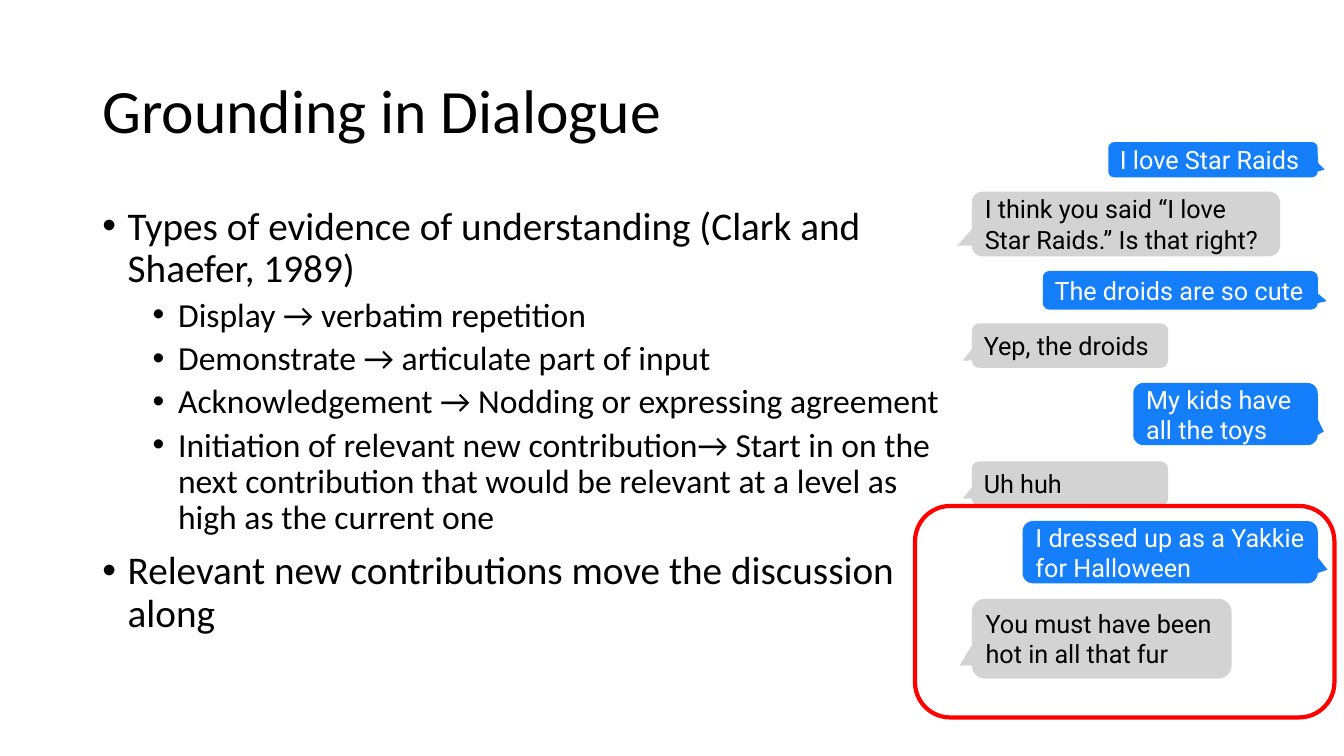
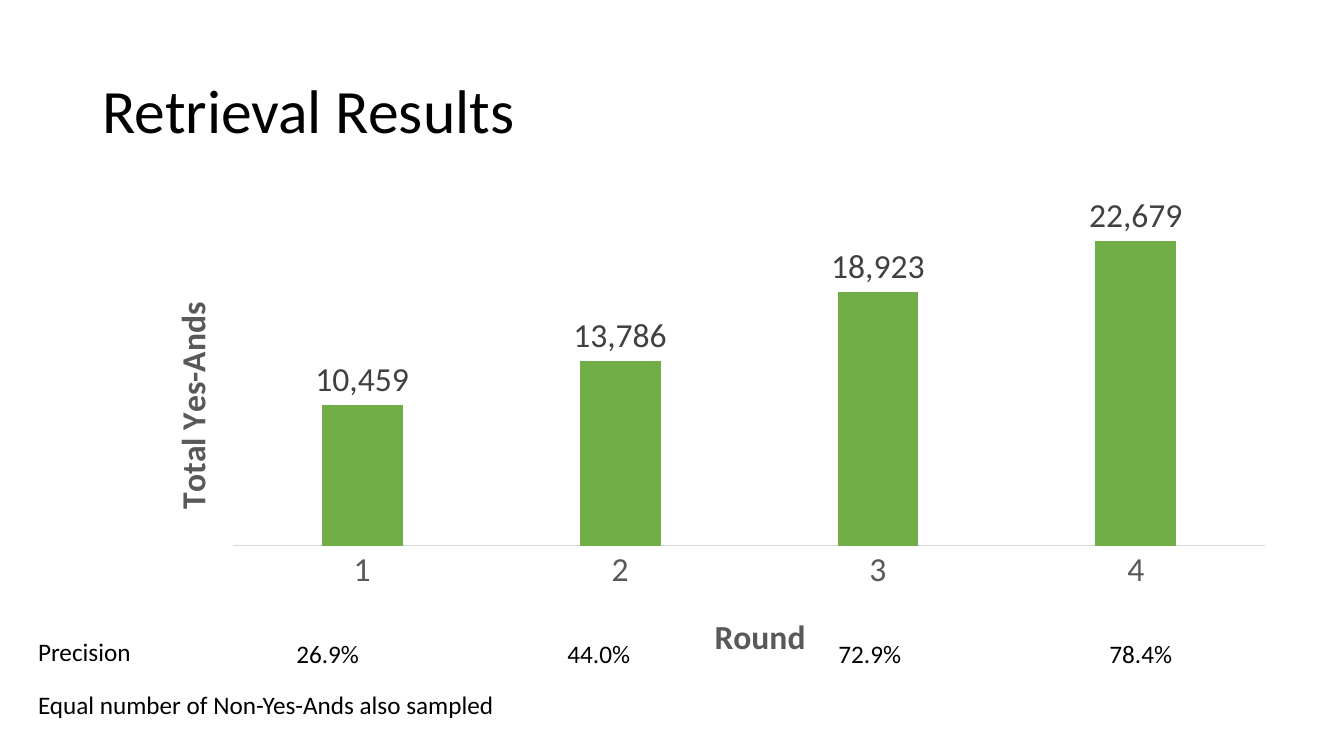
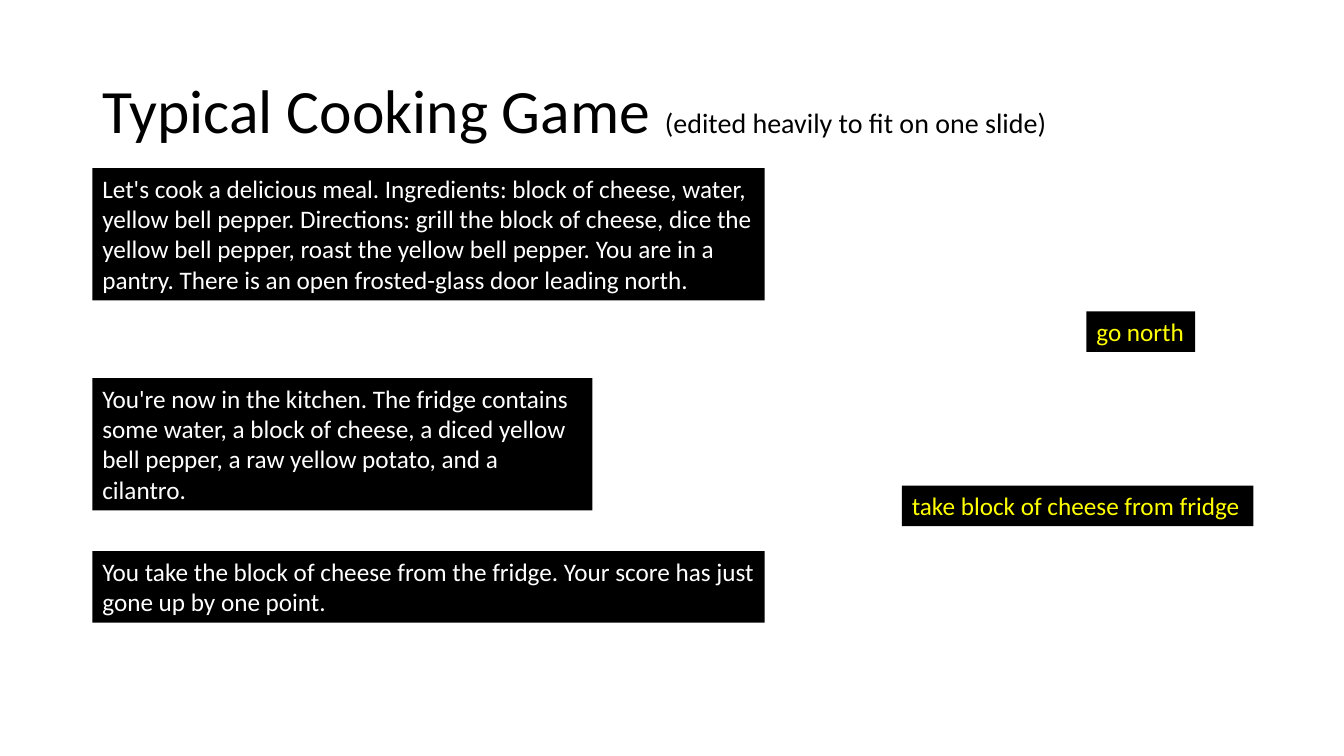
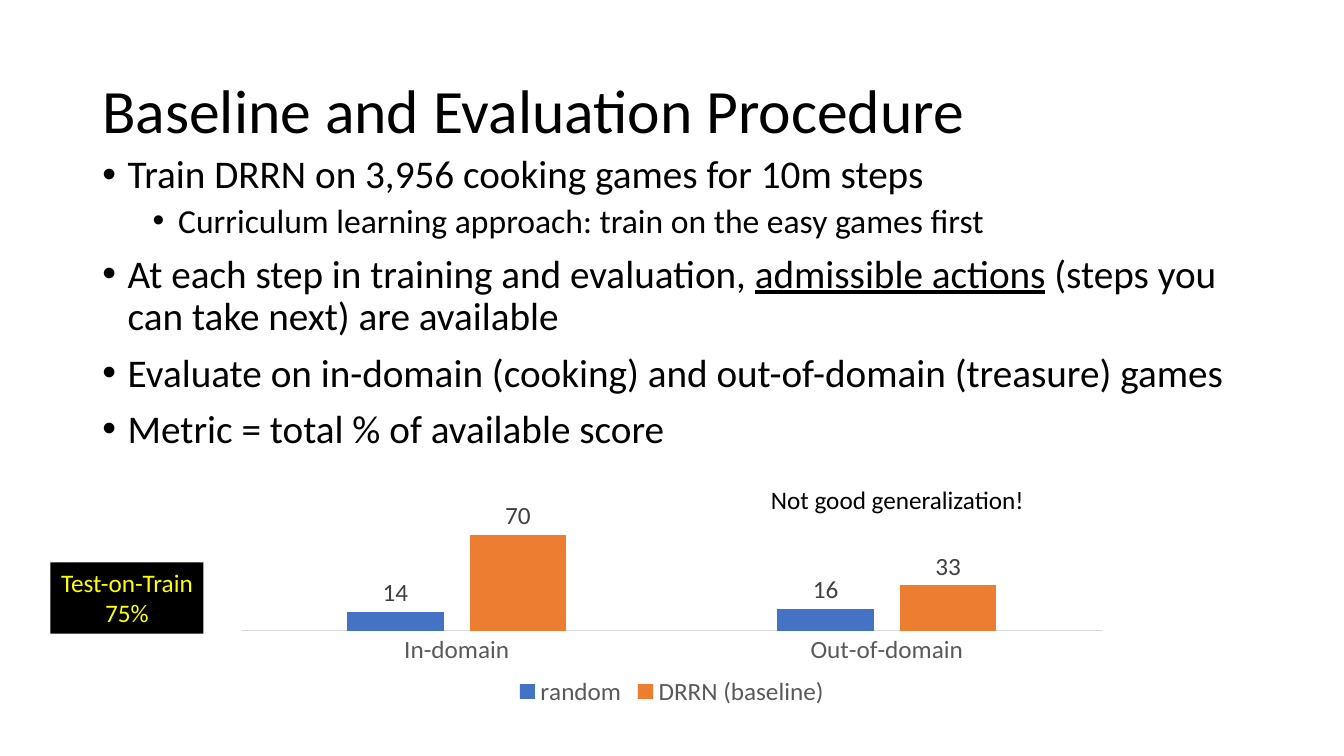
from lxml.etree import SubElement
from pptx import Presentation
from pptx.chart.data import CategoryChartData as Data
from pptx.dml.color import RGBColor as RGB
from pptx.enum.chart import XL_CHART_TYPE as Kind
from pptx.enum.chart import XL_LABEL_POSITION as Spot
from pptx.enum.chart import XL_LEGEND_POSITION as Side
from pptx.enum.chart import XL_TICK_MARK as Tick
from pptx.enum.shapes import MSO_SHAPE as Form
from pptx.enum.text import MSO_ANCHOR as Anchor
from pptx.enum.text import PP_ALIGN as Align
from pptx.oxml.ns import qn
from pptx.util import Cm, Pt

COLORS = {
    "black": "000000", "white": "FFFFFF", "yellow": "FFFF00", "red": "FF0000",
    "sent": "147EFB", "reply": "D3D3D3", "axis": "D9D9D9", "grey": "595959",
    "dark": "404040", "green": "70AD47", "blue": "4472C4", "orange": "ED7D31",
}
LEFT, WIDE = 2.33, 29.21
TAIL_RIGHT, TAIL_LEFT = (0.533, 0.282), (-0.547, 0.338)


def rgb(name):
    return RGB.from_string(COLORS[name])


def style(font, size, color="black", face="Calibri"):
    font.size, font.name = Pt(size), face
    font.color.rgb = rgb(color)


def put(frame, lines, size=18, color="black", face="Calibri", align=None):
    """Write plain lines into a text frame, one paragraph each."""
    for i, line in enumerate(lines):
        para = frame.add_paragraph() if i else frame.paragraphs[0]
        para.alignment = align or Align.LEFT
        para.add_run().text = line
        style(para.font, size, color, face)


def text(slide, box, lines, wrap=False, **look):
    frame = slide.shapes.add_textbox(*map(Cm, box)).text_frame
    frame.word_wrap = wrap
    put(frame, lines, **look)
    return frame


def shape(slide, form, box, fill=None):
    item = slide.shapes.add_shape(form, *map(Cm, box))
    item.shadow.inherit = False
    item.line.fill.background()
    if fill:
        item.fill.solid()
        item.fill.fore_color.rgb = rgb(fill)
    else:
        item.fill.background()
    return item


def title(deck, words):
    """Add a blank slide with its title; return both slide and paragraph."""
    slide = deck.slides.add_slide(deck.slide_layouts[6])
    frame = text(slide, (LEFT, 1.02, WIDE, 3.68), [words], True, size=44)
    frame.vertical_anchor = Anchor.MIDDLE
    para = frame.paragraphs[0]
    para.line_spacing = 0.9
    return slide, para


def bullets(slide, box, items):
    """Each item is (level, text, ...); every second text is underlined."""
    frame = slide.shapes.add_textbox(*map(Cm, box)).text_frame
    frame.word_wrap = True
    for i, (level, *parts) in enumerate(items):
        para = frame.add_paragraph() if i else frame.paragraphs[0]
        para.level = level
        para.line_spacing = 0.9
        para.space_before = Pt((5 if level else 10) if i else 0)
        prop = para._p.get_or_add_pPr()
        prop.set("marL", str(Cm(0.64 + 1.27 * level)))
        prop.set("indent", str(Cm(-0.64)))
        SubElement(prop, qn("a:buFont"), typeface="Arial")
        SubElement(prop, qn("a:buChar"), char="•")
        style(para.font, 24 if level else 28)
        for j, part in enumerate(parts):
            run = para.add_run()
            run.text = part
            if j % 2:
                run.font.underline = True


def bubble(slide, box, words, sent):
    item = shape(slide, Form.ROUNDED_RECTANGULAR_CALLOUT, box,
                 "sent" if sent else "reply")
    for i, value in enumerate(TAIL_RIGHT if sent else TAIL_LEFT):
        item.adjustments[i] = value
    frame = item.text_frame
    frame.word_wrap = True
    frame.vertical_anchor = Anchor.MIDDLE
    put(frame, [words], color="white" if sent else "black", face="Roboto")


def screen(slide, box, lines, color="white", wrap=True, align=None):
    """Black box that shows game text or a command."""
    frame = shape(slide, Form.RECTANGLE, box, "black").text_frame
    frame.word_wrap = wrap
    frame.vertical_anchor = Anchor.TOP
    put(frame, lines, color=color, align=align)


def place(node, **parts):
    """Give a plot area or an axis title a fixed place in its chart."""
    lay = node.find(qn("c:layout"))
    if lay is None:
        lay = SubElement(node, qn("c:layout"))
        node.insert(0 if node.find(qn("c:tx")) is None else 1, lay)
    spot = SubElement(lay, qn("c:manualLayout"))
    if "w" in parts:
        SubElement(spot, qn("c:layoutTarget"), val="inner")
    for key in "xy":
        SubElement(spot, qn(f"c:{key}Mode"), val="edge")
    for key, value in parts.items():
        SubElement(spot, qn(f"c:{key}"), val=str(value))


def name(axis, words, x, y, turn=0):
    frame = axis.axis_title.text_frame
    put(frame, [words], 24, "grey", align=Align.CENTER)
    body = frame._txBody.bodyPr
    body.set("rot", str(turn * 60000))
    body.set("vert", "horz")
    place(axis.axis_title._element, x=x, y=y)


def columns(slide, box, cats, rows, size, top, area):
    """Column chart; rows are (name, values, colour)."""
    data = Data(number_format="#,##0")
    data.categories = cats
    for label, values, _ in rows:
        data.add_series(label, values)
    chart = slide.shapes.add_chart(
        Kind.COLUMN_CLUSTERED, *map(Cm, box), data).chart
    chart.has_title = chart.has_legend = False
    style(chart.font, size)
    plot = chart.plots[0]
    plot.gap_width, plot.overlap = 219, -27
    plot.vary_by_categories = False
    for series, (_, _, color) in zip(plot.series, rows):
        series.format.fill.solid()
        series.format.fill.fore_color.rgb = rgb(color)
        labels = series.data_labels
        labels.show_value = True
        labels.position = Spot.OUTSIDE_END
        labels.number_format = "#,##0"
        labels.number_format_is_linked = False
        style(labels.font, size, "dark")
    axis = chart.category_axis
    axis.major_tick_mark = axis.minor_tick_mark = Tick.NONE
    axis.format.line.color.rgb = rgb("axis")
    axis.format.line.width = Pt(0.75)
    style(axis.tick_labels.font, size, "grey")
    scale = chart.value_axis
    scale.has_major_gridlines = False
    scale.minimum_scale, scale.maximum_scale = 0, top
    scale.visible = False
    place(chart._chartSpace.chart.plotArea, **dict(zip("xywh", area)))
    return chart


def dialogue(deck):
    slide, _ = title(deck, "Grounding in Dialogue")
    bullets(slide, (LEFT, 5.08, 21.84, 11.63), [
        (0, "Types of evidence of understanding (Clark and Shaefer, 1989)"),
        (1, "Display → verbatim repetition"),
        (1, "Demonstrate → articulate part of input"),
        (1, "Acknowledgement → Nodding or expressing agreement"),
        (1, "Initiation of relevant new contribution→ Start in on the next "
            "contribution that would be relevant at a level as high as the "
            "current one"),
        (0, "Relevant new contributions move the discussion along"),
    ])
    chat = [
        (3.58, 5.28, 0.89, "I love Star Raids"),
        (4.83, 7.77, 1.63, "I think you said “I love Star Raids.” Is that right?"),
        (6.83, 6.93, 0.97, "The droids are so cute"),
        (8.15, 4.95, 1.12, "Yep, the droids"),
        (9.65, 4.65, 1.57, "My kids have all the toys"),
        (11.63, 4.95, 1.12, "Uh huh"),
        (13.13, 7.44, 1.57, "I dressed up as a Yakkie for Halloween"),
        (15.09, 6.55, 2.01, "You must have been hot in all that fur"),
    ]
    for i, (y, wide, high, words) in enumerate(chat):
        sent = i % 2 == 0
        x = 33.21 - wide if sent else 24.49
        bubble(slide, (x, y, wide, high), words, sent)
    ring = shape(slide, Form.ROUNDED_RECTANGLE, (23.06, 12.75, 10.57, 5.33))
    ring.line.color.rgb = rgb("red")
    ring.line.width = Pt(3)


def results(deck):
    slide, _ = title(deck, "Retrieval Results")
    chart = columns(
        slide, (3.25, 4.93, WIDE, 12.09), ["1", "2", "3", "4"],
        [("Series 1", (10459, 13786, 18923, 22679), "green")],
        24, 25000, (0.09, 0.03, 0.89, 0.7))
    name(chart.category_axis, "Round", 0.5, 0.86)
    name(chart.value_axis, "Total Yes-Ands", 0.03, 0.21, -90)
    text(slide, (0.71, 17.25, 12.12, 1.02),
         ["Equal number of Non-Yes-Ands also sampled"])
    text(slide, (0.71, 15.9, 2.87, 1.02), ["Precision"])
    for i, share in enumerate(["26.9%", "44.0%", "72.9%", "78.4%"]):
        text(slide, (7.22 + 6.83 * i, 15.95, 2.11, 1.02), [share])


def game(deck):
    slide, head = title(deck, "Typical Cooking Game ")
    note = head.add_run()
    note.text = "(edited heavily to fit on one slide)"
    note.font.size = Pt(20)
    for y, wide, high, words in [
        (4.24, 16.94, 3.33,
         "Let's cook a delicious meal. Ingredients: block of cheese, water, "
         "yellow bell pepper. Directions: grill the block of cheese, dice the "
         "yellow bell pepper, roast the yellow bell pepper. You are in a "
         "pantry. There is an open frosted-glass door leading north."),
        (9.53, 12.6, 3.33,
         "You're now in the kitchen. The fridge contains some water, a block "
         "of cheese, a diced yellow bell pepper, a raw yellow potato, and a "
         "cilantro."),
        (13.89, 16.94, 1.8,
         "You take the block of cheese from the fridge. Your score has just "
         "gone up by one point."),
    ]:
        screen(slide, (LEFT, y, wide, high), [words])
    for box, words in [
        ((27.38, 7.85, 2.74, 1.02), "go north"),
        ((22.73, 12.24, 8.86, 1.02), "take block of cheese from fridge"),
    ]:
        screen(slide, box, [words], "yellow", False)


def baseline(deck):
    slide, _ = title(deck, "Baseline and Evaluation Procedure")
    bullets(slide, (LEFT, 3.78, WIDE, 8.23), [
        (0, "Train DRRN on 3,956 cooking games for 10m steps"),
        (1, "Curriculum learning approach: train on the easy games first"),
        (0, "At each step in training and evaluation, ", "admissible actions",
         " (steps you can take next) are available"),
        (0, "Evaluate on in-domain (cooking) and out-of-domain (treasure) "
            "games"),
        (0, "Metric = total % of available score"),
    ])
    chart = columns(
        slide, (5.64, 12.62, 22.58, 5.31), ["In-domain", "Out-of-domain"],
        [("random", (14, 16), "blue"), ("DRRN (baseline)", (70, 33), "orange")],
        18, 80, (0.02, 0.08, 0.96, 0.53))
    chart.has_legend = True
    chart.legend.position = Side.BOTTOM
    chart.legend.include_in_layout = False
    style(chart.legend.font, 18, "grey")
    text(slide, (19.18, 12.09, 6.96, 1.02), ["Not good generalization!"])
    screen(slide, (1.27, 14.17, 3.86, 1.8), ["Test-on-Train", "75%"],
           "yellow", False, Align.CENTER)


def main():
    deck = Presentation()
    deck.slide_width, deck.slide_height = Cm(33.87), Cm(19.05)
    for build in (dialogue, results, game, baseline):
        build(deck)
    deck.save("out.pptx")


if __name__ == "__main__":
    main()
